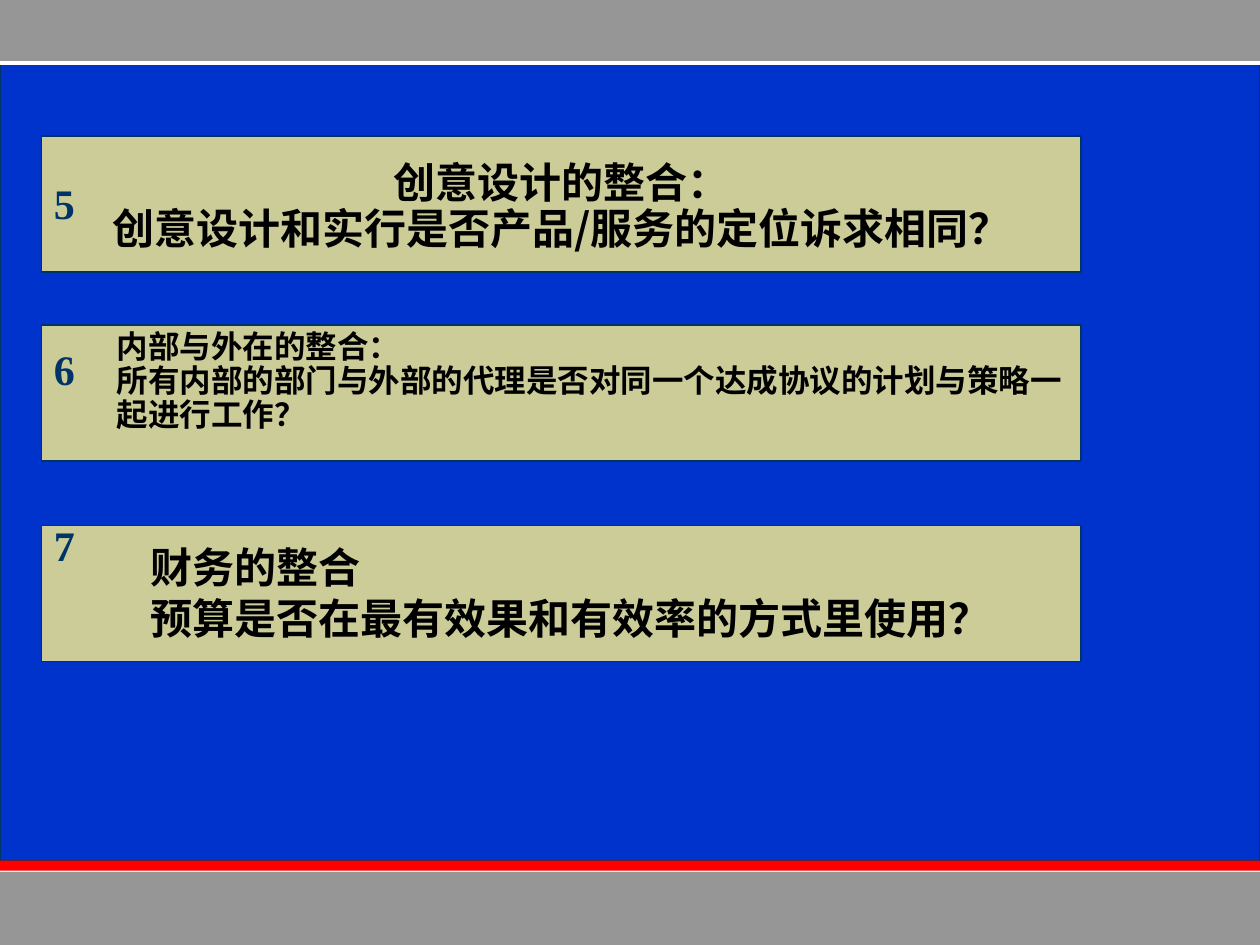
import pptx
import pptx.util
import pptx.dml.color
import pptx.enum.shapes
import pptx.enum.text
import pptx.oxml.ns
import lxml.etree

Inches, Pt = pptx.util.Inches, pptx.util.Pt
RGBColor = pptx.dml.color.RGBColor
ALIGN = pptx.enum.text.PP_ALIGN

BLUE = RGBColor(0x00, 0x33, 0xCC)
NAVY = RGBColor(0x00, 0x33, 0x66)
GRAY = RGBColor(0x96, 0x96, 0x96)
RED = RGBColor(0xFF, 0x00, 0x00)
SAND = RGBColor(0xCC, 0xCC, 0x99)
WHITE = RGBColor(0xFF, 0xFF, 0xFF)
BLACK = RGBColor(0x00, 0x00, 0x00)

deck = pptx.Presentation()
deck.slide_width, deck.slide_height = Inches(10), Inches(7.5)
page = deck.slides.add_slide(deck.slide_layouts[6])


def add_box(left, top, width, height, fill, line=None):
    box = page.shapes.add_shape(
        pptx.enum.shapes.MSO_SHAPE.RECTANGLE,
        Inches(left), Inches(top), Inches(width), Inches(height))
    box.shadow.inherit = False
    box.fill.solid()
    box.fill.fore_color.rgb = fill
    if line is None:
        box.line.fill.background()
    else:
        box.line.color.rgb = line
        box.line.width = Pt(0.75)
    return box


def write(box, text, font, size, color, align, spacing):
    frame = box.text_frame
    frame.vertical_anchor = pptx.enum.text.MSO_ANCHOR.TOP
    frame.text = text
    para = frame.paragraphs[0]
    para.alignment = align
    para.line_spacing = spacing
    for span in para.runs:
        span.font.name = font
        span.font.size = Pt(size)
        span.font.bold = True
        span.font.color.rgb = color
        # East Asian typeface
        east = lxml.etree.SubElement(span.font._element, pptx.oxml.ns.qn("a:ea"))
        east.set("typeface", font)


# Background panel, gray bands and red stripe
add_box(0, 0.5, 10, 6.33, BLUE, NAVY)
add_box(0, 0, 10, 0.5, GRAY)
add_box(0, 6.92, 10, 0.58, GRAY)
add_box(0, 6.83, 10, 0.08, RED)

# White rule under the top band
rule = page.shapes.add_connector(
    pptx.enum.shapes.MSO_CONNECTOR.STRAIGHT,
    Inches(0), Inches(0.5), Inches(10), Inches(0.5))
rule.line.color.rgb = WHITE
rule.line.width = Pt(2.25)
lxml.etree.SubElement(rule._element.spPr, pptx.oxml.ns.qn("a:effectLst"))

# Numbered bars: number, top, inset above the number
for number, top, inset in [("5", 1.08, 0.37), ("6", 2.58, 0.19), ("7", 4.17, 0)]:
    bar = add_box(0.33, top, 8.25, 1.08, SAND, NAVY)
    write(bar, number, "Times New Roman", 24, NAVY, ALIGN.LEFT, 0.9)
    bar.text_frame.margin_top = Inches(inset)

# Questions: place, wrapping, size, alignment, line spacing, lines
questions = [
    ((0.71, 1.24, 7.49, 1.18), False, 24, ALIGN.CENTER, 0.9,
     ["创意设计的整合：", "创意设计和实行是否产品/服务的定位诉求相同？"]),
    ((0.83, 2.58, 7.91, 1.21), True, 18, ALIGN.LEFT, 0.9,
     ["内部与外在的整合：",
      "所有内部的部门与外部的代理是否对同一个达成协议的计划与策略一起进行工作？"]),
    ((1.1, 4.25, 6.86, 0.9), False, 24, ALIGN.LEFT, 1.0,
     ["财务的整合", "预算是否在最有效果和有效率的方式里使用？"]),
]
for place, wrap, size, align, spacing, lines in questions:
    box = page.shapes.add_textbox(*[Inches(value) for value in place])
    box.text_frame.word_wrap = wrap
    # A vertical tab is a line break inside the paragraph
    write(box, "\v".join(lines), "Noto Sans CJK SC", size, BLACK, align, spacing)

deck.save("out.pptx")
